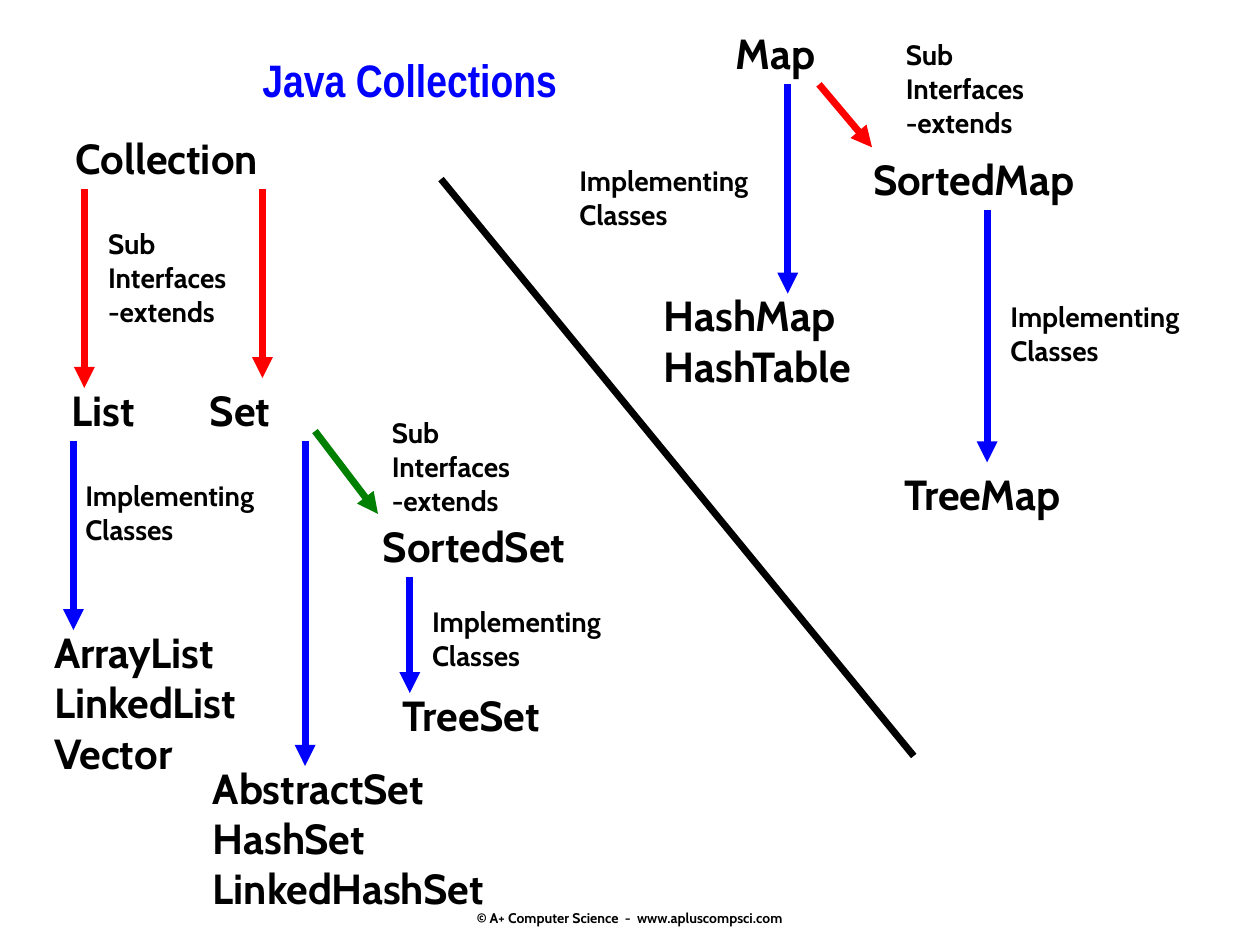
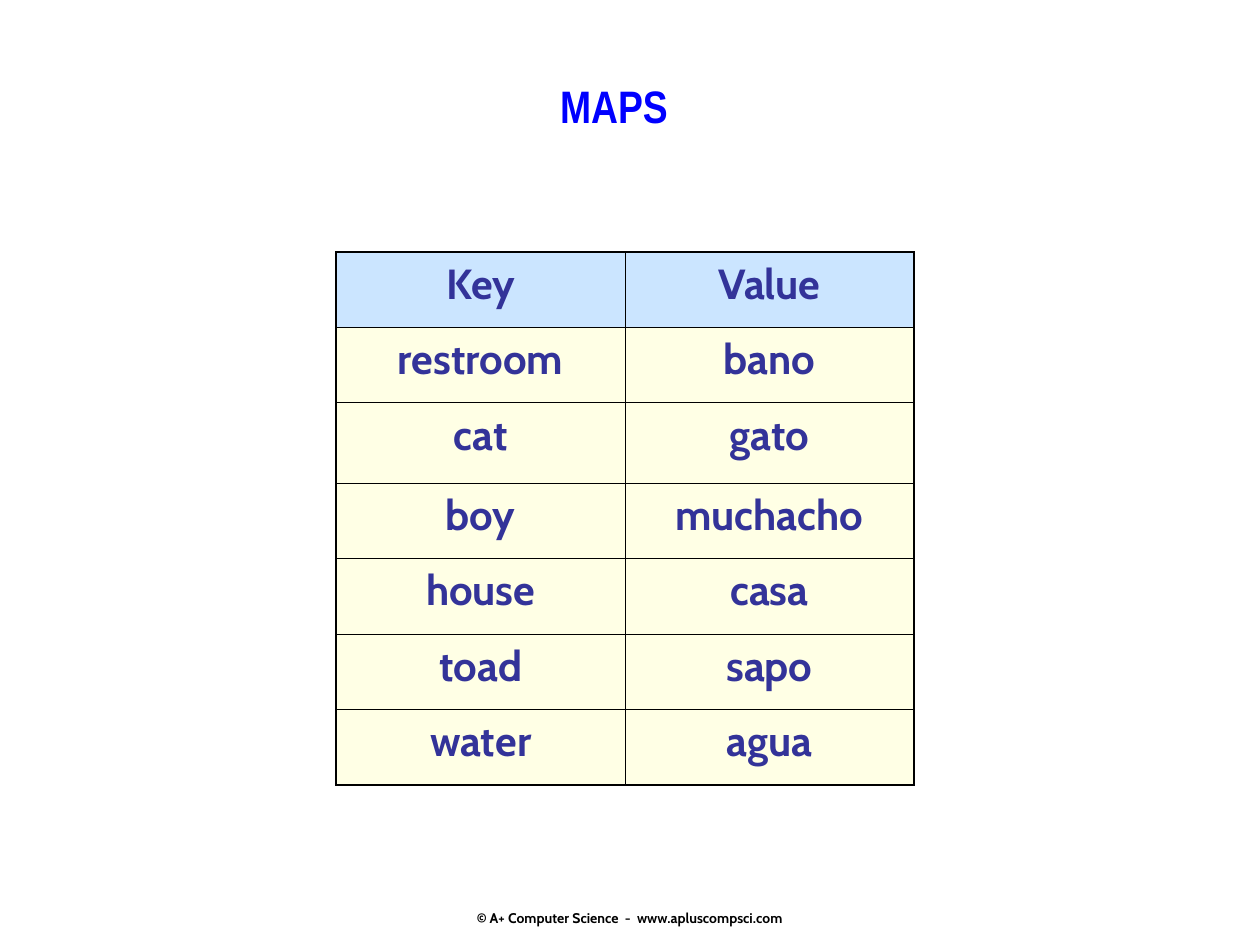
from lxml import etree
from pptx import Presentation
from pptx import util as u
from pptx.dml.color import RGBColor
from pptx.enum import shapes, text
from pptx.oxml.ns import qn

BLACK, BLUE, RED, GREEN = "000000", "0000FF", "FF0000", "008000"
INDIGO, HEADER_FILL, BODY_FILL = "333399", "99CCFF", "FFFFCC"
BODY_FONT, TITLE_FONT = "Cabin", "Arial Narrow"
TYPE_SIZE, NOTE_SIZE = 24, 16
FOOTER = "© A+ Computer Science  -  www.apluscompsci.com"

TYPE_NAMES = [
    ("Collection", 1.27, 2.54, 4.72),
    ("Map", 14.58, 0.43, 2.34),
    ("List", 1.19, 7.62, 2.3),
    ("Set", 3.98, 7.62, 2.3),
    ("ArrayList\nLinkedList\nVector", 0.84, 12.5, 4.88),
    ("AbstractSet\nHashSet\nLinkedHashSet", 4.04, 15.24, 6.83),
    ("TreeSet", 7.87, 13.77, 3.71),
    ("SortedSet", 7.47, 10.36, 4.62),
    ("TreeMap", 17.98, 9.32, 4.22),
    ("SortedMap", 17.35, 2.97, 5.13),
    ("HashMap\nHashTable", 13.13, 5.72, 4.93),
]
EXTENDS_NOTES = [(1.93, 4.45), (7.65, 8.26), (18.01, 0.64)]
IMPLEMENTS_NOTES = [(1.47, 9.53), (8.46, 12.07), (20.12, 5.92), (11.43, 3.18)]
ARROWS = [
    (RED, 1.7, 3.81, 1.7, 7.82),
    (RED, 5.29, 3.81, 5.29, 7.62),
    (RED, 16.51, 1.7, 17.58, 2.97),
    (GREEN, 6.35, 8.69, 7.62, 10.36),
    (BLUE, 6.15, 8.89, 6.15, 15.44),
    (BLUE, 8.26, 11.63, 8.26, 13.97),
    (BLUE, 1.48, 8.89, 1.48, 12.7),
    (BLUE, 15.88, 1.7, 15.88, 5.92),
    (BLUE, 19.9, 4.24, 19.9, 9.32),
]
DICTIONARY = [
    ("Key", "Value"),
    ("restroom", "bano"),
    ("cat", "gato"),
    ("boy", "muchacho"),
    ("house", "casa"),
    ("toad", "sapo"),
    ("water", "agua"),
]


def color(hex_string):
    return RGBColor.from_string(hex_string)


def write(frame, content, size=TYPE_SIZE, font=BODY_FONT, fill=BLACK,
          align=text.PP_ALIGN.LEFT):
    for index, line in enumerate(content.split("\n")):
        paragraph = frame.add_paragraph() if index else frame.paragraphs[0]
        paragraph.alignment = align
        run = paragraph.add_run()
        run.text = line
        run.font.size = u.Pt(size)
        run.font.name = font
        run.font.bold = True
        run.font.color.rgb = color(fill)


def add_text(slide, content, left, top, width, height,
             anchor=text.MSO_ANCHOR.TOP, **style):
    box = slide.shapes.add_textbox(u.Cm(left), u.Cm(top), u.Cm(width), u.Cm(height))
    box.text_frame.word_wrap = True
    box.text_frame.vertical_anchor = anchor
    write(box.text_frame, content, **style)


def add_label(slide, content, left, top, width, size=TYPE_SIZE):
    line_height = size * 0.0425
    height = 0.25 + line_height * len(content.split("\n"))
    add_text(slide, content, left, top, width, height, size=size)


def add_title(slide, content, left, top, width, height):
    add_text(slide, content, left, top, width, height,
             anchor=text.MSO_ANCHOR.MIDDLE, size=26, font=TITLE_FONT, fill=BLUE,
             align=text.PP_ALIGN.CENTER)


def add_footer(slide):
    add_text(slide, FOOTER, 7.7, 18.2, 10, 0.6, anchor=text.MSO_ANCHOR.MIDDLE,
             size=8, align=text.PP_ALIGN.CENTER)


def add_line(slide, stroke, x1, y1, x2, y2, arrow=False):
    connector = slide.shapes.add_connector(
        shapes.MSO_CONNECTOR.STRAIGHT, u.Cm(x1), u.Cm(y1), u.Cm(x2), u.Cm(y2))
    connector.line.color.rgb = color(stroke)
    connector.line.width = u.Pt(4)
    if arrow:
        line = connector.line._get_or_add_ln()
        etree.SubElement(line, qn("a:tailEnd"), type="triangle")
    etree.SubElement(connector._element.spPr, qn("a:effectLst"))


def set_borders(cell, widths):
    properties = cell._tc.get_or_add_tcPr()
    for index, (side, width) in enumerate(zip("LRTB", widths)):
        border = etree.Element(qn(f"a:ln{side}"), w=str(u.Pt(width)))
        fill = etree.SubElement(border, qn("a:solidFill"))
        etree.SubElement(fill, qn("a:srgbClr"), val=BLACK)
        properties.insert(index, border)


def fill_half(cell, hex_string):
    cell.fill.solid()
    cell.fill.fore_color.rgb = color(hex_string)
    shade = cell._tc.tcPr.find(".//" + qn("a:srgbClr"))
    etree.SubElement(shade, qn("a:alpha"), val="50000")


def add_dictionary(slide, rows, left, top, column_width, row_height):
    last_row, last_column = len(rows) - 1, len(rows[0]) - 1
    table = slide.shapes.add_table(
        len(rows), len(rows[0]), u.Cm(left), u.Cm(top),
        u.Cm(column_width * len(rows[0])), u.Cm(row_height * len(rows))).table
    table.first_row = table.horz_banding = False
    for column in table.columns:
        column.width = u.Cm(column_width)
    for i, words in enumerate(rows):
        table.rows[i].height = u.Cm(row_height)
        for j, word in enumerate(words):
            cell = table.cell(i, j)
            write(cell.text_frame, word, fill=INDIGO, align=text.PP_ALIGN.CENTER)
            cell.text_frame.paragraphs[0].line_spacing = 1.01
            cell.text_frame.paragraphs[0].space_before = u.Pt(6)
            fill_half(cell, BODY_FILL if i else HEADER_FILL)
            outer = (j == 0, j == last_column, i == 0, i == last_row)
            set_borders(cell, [1.08 if edge else 0.45 for edge in outer])
    return table


def build_collections(slide):
    add_footer(slide)
    add_title(slide, "Java Collections", 4.24, 0.64, 8.05, 1.9)
    for arrow in ARROWS:
        add_line(slide, *arrow, arrow=True)
    for name in TYPE_NAMES:
        add_label(slide, *name)
    for left, top in EXTENDS_NOTES:
        add_label(slide, "Sub\nInterfaces\n-extends", left, top, 3.38, NOTE_SIZE)
    for left, top in IMPLEMENTS_NOTES:
        add_label(slide, "Implementing\nClasses", left, top, 4.67, NOTE_SIZE)
    add_line(slide, BLACK, 8.89, 3.61, 18.42, 15.24)


def build_maps(slide):
    add_footer(slide)
    table = add_dictionary(slide, DICTIONARY, 6.78, 5.08, 5.82, 1.52)
    table.rows[2].height = u.Cm(1.62)
    add_title(slide, "MAPS", 5.08, 1.07, 14.6, 2.1)


def main():
    presentation = Presentation()
    presentation.slide_width, presentation.slide_height = u.Cm(25.4), u.Cm(19.05)
    blank = presentation.slide_layouts[6]
    for build in (build_collections, build_maps):
        build(presentation.slides.add_slide(blank))
    presentation.save("out.pptx")


if __name__ == "__main__":
    main()
